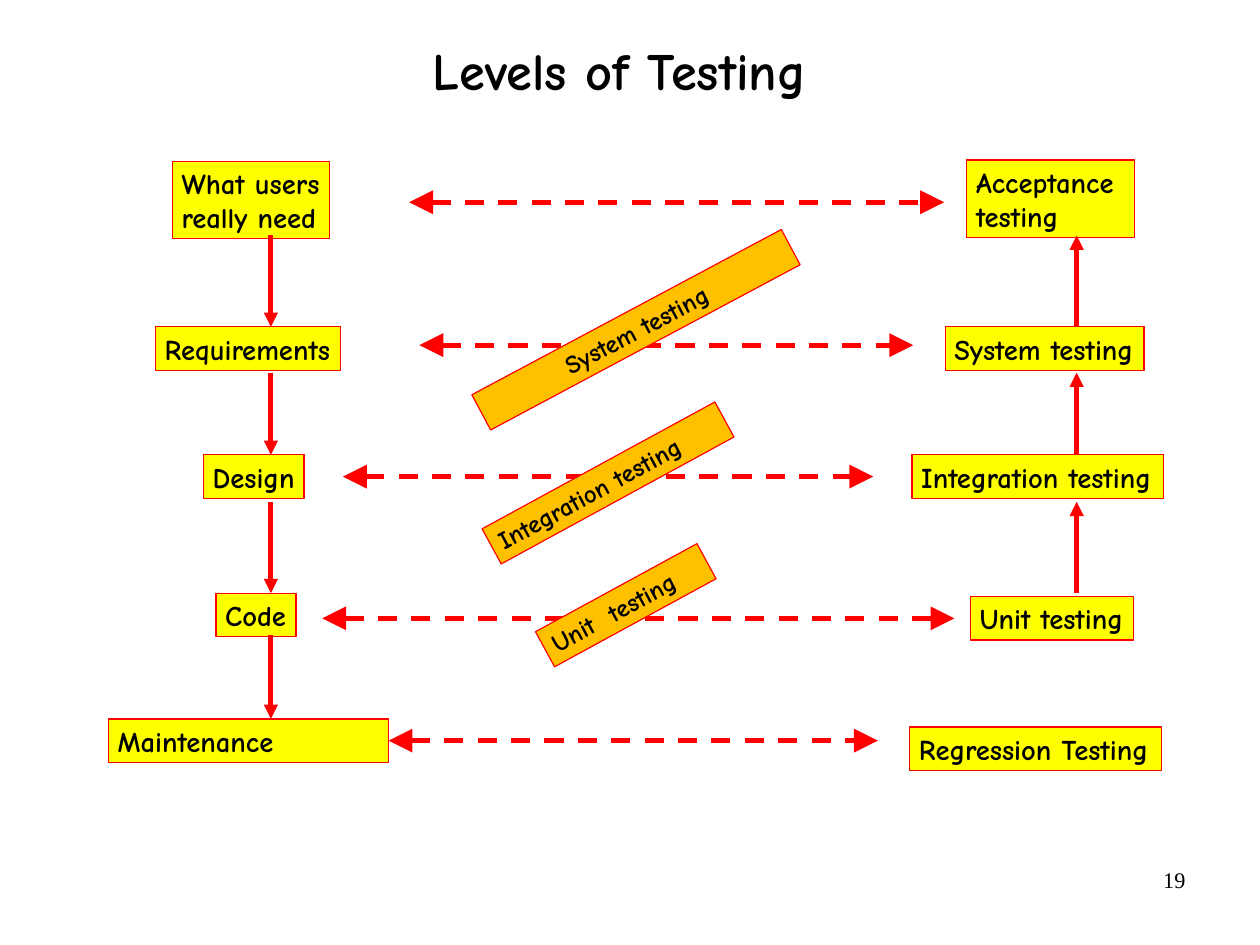
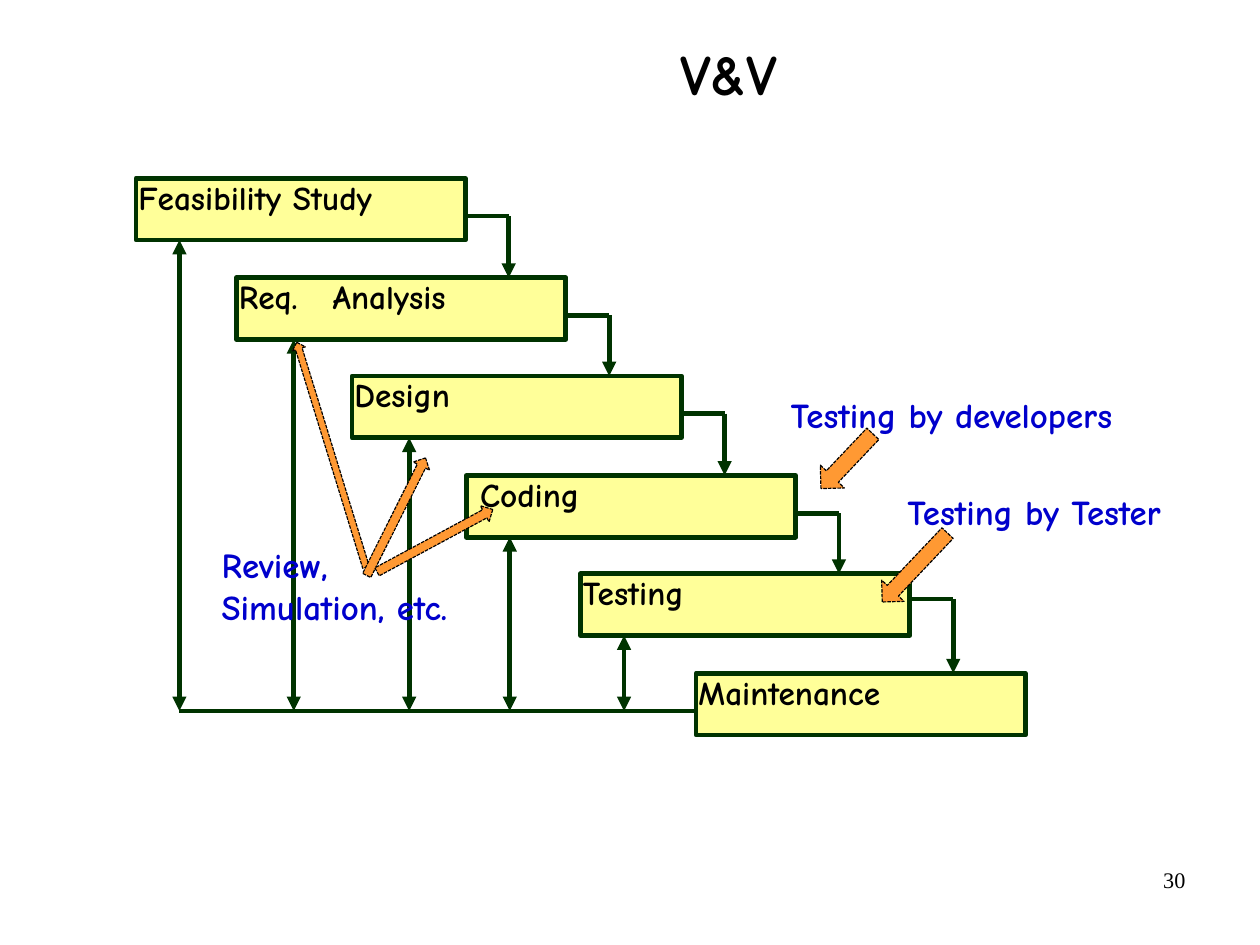
from lxml import etree
from pptx import Presentation
from pptx.dml.color import RGBColor
from pptx.enum import dml, shapes, text
from pptx.oxml.ns import qn
from pptx.util import Cm, Inches, Pt

FONT = "Comic Neue"
BLACK, RED, YELLOW, AMBER = "000000", "FF0000", "FFFF00", "FFC000"
GREEN, CREAM, ORANGE, BLUE = "003300", "FFFF99", "FF9933", "0000CC"
RECT = shapes.MSO_SHAPE.RECTANGLE
LEFT, CENTER, RIGHT = text.PP_ALIGN.LEFT, text.PP_ALIGN.CENTER, text.PP_ALIGN.RIGHT
TOP, MIDDLE = text.MSO_ANCHOR.TOP, text.MSO_ANCHOR.MIDDLE
DASH, DOTS = dml.MSO_LINE.DASH, dml.MSO_LINE.SQUARE_DOT
BOTH = ("headEnd", "tailEnd")


def tint(part, color):
    part.rgb = RGBColor.from_string(color)


def apply(target, values):
    for name, value in values.items():
        setattr(target, name, value)


def write(shape, words, size, color=BLACK, font=FONT, bold=True, align=LEFT,
          anchor=TOP, pad=(0.08, 0.04), wrap=False, spacing=None, tab=None):
    frame = shape.text_frame
    side, edge = (Inches(v) for v in pad)
    apply(frame, dict(margin_left=side, margin_right=side, margin_top=edge,
                      margin_bottom=edge, word_wrap=wrap, vertical_anchor=anchor,
                      auto_size=text.MSO_AUTO_SIZE.NONE))
    for i, line in enumerate(words.split("\n")):
        para = frame.add_paragraph() if i else frame.paragraphs[0]
        apply(para, dict(alignment=align, line_spacing=spacing))
        if "\t" in line:
            stops = etree.SubElement(para._p.get_or_add_pPr(), qn("a:tabLst"))
            etree.SubElement(stops, qn("a:tab"), pos=str(Inches(tab)), algn="l")
        run = para.add_run()
        run.text = line
        apply(run.font, dict(name=font, size=Pt(size), bold=bold))
        tint(run.font.color, color)


def block(slide, at, fill, line, width=0.75, kind=RECT, turn=0, dash=None):
    shape = slide.shapes.add_shape(kind, *map(Inches, at))
    shape.shadow.inherit = False
    shape.rotation = turn
    shape.fill.solid()
    tint(shape.fill.fore_color, fill)
    tint(shape.line.color, line)
    apply(shape.line, dict(width=Pt(width), dash_style=dash))
    return shape


def label(slide, at, words, size, **style):
    write(slide.shapes.add_textbox(*map(Inches, at)), words, size, **style)


def link(slide, start, end, color, ends=("tailEnd",), dash=None, tip="med"):
    wire = slide.shapes.add_connector(shapes.MSO_CONNECTOR.STRAIGHT,
                                      *map(Inches, (*start, *end)))
    tint(wire.line.color, color)
    apply(wire.line, dict(width=Pt(3), dash_style=dash))
    for name in ends:
        etree.SubElement(wire.line._get_or_add_ln(), qn("a:" + name),
                         type="triangle", w=tip, len=tip)
    etree.SubElement(wire._element.spPr, qn("a:effectLst"))
    return wire


def page(deck, title, at, number, size, **style):
    slide = deck.slides.add_slide(deck.slide_layouts[5])
    left, top, width, height = map(Inches, at)
    apply(slide.shapes.title, dict(left=left, top=top, width=width, height=height))
    write(slide.shapes.title, title, size, wrap=True, **style)
    label(slide, (7.9, 7.53, 2.57, 0.57), number, 14, font="Times New Roman",
          bold=False, align=RIGHT, pad=(0.1, 0.05), wrap=True)
    return slide


def levels(deck):
    slide = page(deck, "Levels of Testing", (1.7, 0.13, 7.44, 1.03), "19", 33,
                 align=CENTER, anchor=MIDDLE, pad=(0, 0), spacing=0.88)
    steps = [
        ("What users\nreally need", 1.51, 1.41, 1.37, 0.68),
        ("Requirements", 1.36, 2.86, 1.62, 0.38),
        ("Design", 1.78, 3.98, 0.88, 0.38),
        ("Code", 1.89, 5.19, 0.7, 0.38),
        ("Acceptance\ntesting", 8.46, 1.4, 1.47, 0.68),
        ("System testing", 8.27, 2.86, 1.74, 0.38),
        ("Integration testing", 7.98, 3.98, 2.2, 0.38),
        ("Unit testing", 8.49, 5.22, 1.43, 0.38),
        ("Regression Testing", 7.96, 6.36, 2.2, 0.38),
        ("Maintenance", 0.95, 6.29, 2.45, 0.38),
    ]
    for words, *at in steps:
        box = block(slide, at, YELLOW, RED)
        write(box, words, 18)

    spans = [(2.06, 2.86), (3.26, 3.98), (4.39, 5.19)]
    for start, end in spans:
        link(slide, (2.37, start), (2.37, end), RED)
        link(slide, (9.42, end), (9.42, start), RED)
    link(slide, (2.37, 5.56), (2.37, 6.29), RED)

    pairs = [(3.58, 8.26, 1.77), (3.67, 7.99, 3.02), (3, 7.64, 4.17),
             (2.82, 8.35, 5.41), (3.4, 7.68, 6.48)]
    for start, end, y in pairs:
        wire = link(slide, (start, y), (end, y), RED, BOTH, DASH, "lg")
    wire.begin_connect(box, 3)

    bands = [
        ("System testing", (4.03, 2.71, 3.07, 0.35), 331.9, CENTER),
        ("Integration testing", (4.16, 4.05, 2.32, 0.35), 331.4, LEFT),
        ("Unit\ttesting", (4.67, 5.12, 1.61, 0.35), 331.4, LEFT),
    ]
    for words, at, turn, align in bands:
        band = block(slide, at, AMBER, RED, turn=turn)
        write(band, words, 16, align=align, wrap=True, tab=0.56)


def phases(deck):
    slide = page(deck, "V&V", (5.87, 0.36, 7.44, 1.6), "30", 36, spacing=0.91)
    width, height, base = 2.88, 0.54, 6.22
    steps = [
        ("Feasibility Study", 1.19, 0.33, 0.38),
        ("Req.\tAnalysis", 2.07, 0.33, 0.5),
        ("Design", 3.08, 0.33, 0.5),
        ("Coding", 4.08, 0.33, 0.38),
        ("Testing", 5.08, 0.22, 0.38),
        ("Maintenance", 6.09, None, None),
    ]
    tops = [round(1.56 + 0.866 * i, 2) for i in range(len(steps))]
    for i, (words, left, drop, inset) in enumerate(steps):
        top = tops[i]
        box = block(slide, (left, top, width, height), CREAM, GREEN, 3,
                    shapes.MSO_SHAPE.ROUNDED_RECTANGLE)
        box.adjustments[0] = 0
        write(box, words, 21, pad=(0.02, 0.04), wrap=True, spacing=0.85, tab=0.82)
        if words == "Coding":
            box.text_frame.margin_left = Inches(0.12)
        if drop is None:
            continue
        right, y = left + width, top + drop
        turn = right + 0.38
        link(slide, (right, y), (turn, y), GREEN, ())
        link(slide, (turn, y), (turn, tops[i + 1]), GREEN)
        link(slide, (left + inset, base), (left + inset, top + height), GREEN, BOTH)
    link(slide, (6.09, base), (1.57, base), GREEN, ())

    notes = [("Testing by developers", 6.84, 3.32), ("Testing by Tester", 7.86, 4.17),
             ("Review,\nSimulation, etc.", 1.86, 4.82)]
    for words, left, top in notes:
        label(slide, (left, top, 2.81, 0.61), words, 22, color=BLUE, anchor=MIDDLE)

    marks = [(7.08, 3.89, 0.66, 0.29, 313.5), (7.59, 4.83, 0.83, 0.27, 313.5),
             (1.87, 3.92, 2.06, 0.12, 72.9), (2.89, 4.44, 1.15, 0.16, 116.6),
             (3.23, 4.65, 1.15, 0.16, 151.7)]
    for *at, turn in marks:
        block(slide, at, ORANGE, BLACK, kind=shapes.MSO_SHAPE.LEFT_ARROW,
              turn=turn, dash=DOTS)


def main():
    deck = Presentation()
    deck.slide_width = Cm(28)
    deck.slide_height = Cm(21)
    levels(deck)
    phases(deck)
    deck.save("out.pptx")


if __name__ == "__main__":
    main()
